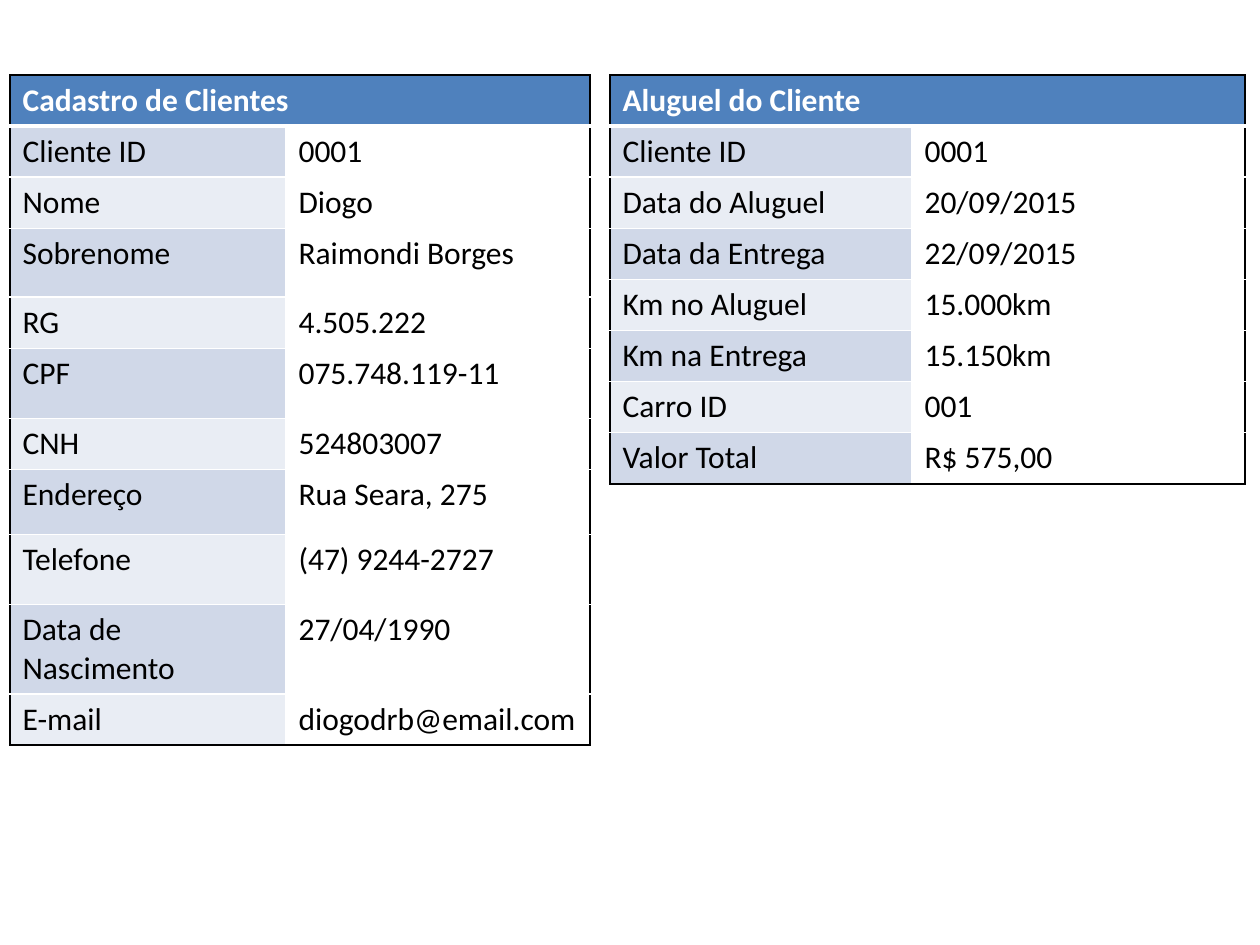
"""Build a slide with a customer record table and a rental table."""
import pptx
import pptx.dml.color
import pptx.oxml
import pptx.oxml.ns
import pptx.util

BLACK = pptx.dml.color.RGBColor(0x00, 0x00, 0x00)
WHITE = pptx.dml.color.RGBColor(0xFF, 0xFF, 0xFF)
HEADER_BLUE = pptx.dml.color.RGBColor(0x4F, 0x81, 0xBD)
BAND_DARK = pptx.dml.color.RGBColor(0xD0, 0xD8, 0xE8)
BAND_LIGHT = pptx.dml.color.RGBColor(0xE9, 0xED, 0xF4)
SCALE = pptx.util.Inches(1) / 126
ROW = 51
TOP = 75


def px(length):
    return pptx.util.Emu(round(length * SCALE))


def style_cell(cell, text, fill, color, bold, borders):
    properties = cell._tc.get_or_add_tcPr()
    for side, (line_color, points) in zip("LRTB", borders):
        properties.append(pptx.oxml.parse_xml(
            f'<a:ln{side} {pptx.oxml.ns.nsdecls("a")} w="{pptx.util.Pt(points)}">'
            f'<a:solidFill><a:srgbClr val="{line_color}"/></a:solidFill></a:ln{side}>'))
    cell.fill.solid()
    cell.fill.fore_color.rgb = fill
    if text:
        span = cell.text_frame.paragraphs[0].add_run()
        span.text = text
        span.font.name = "Calibri"
        span.font.size = pptx.util.Pt(18)
        span.font.bold = bold
        span.font.color.rgb = color


customer_rows = [
    ("Cliente ID", "0001", ROW),
    ("Nome", "Diogo", ROW),
    ("Sobrenome", "Raimondi Borges", 69),
    ("RG", "4.505.222", ROW),
    ("CPF", "075.748.119-11", 70),
    ("CNH", "524803007", ROW),
    ("Endereço", "Rua Seara, 275", 65),
    ("Telefone", "(47) 9244-2727", 70),
    ("Data de Nascimento", "27/04/1990", 89),
    ("E-mail", "diogodrb@email.com", ROW),
]
rental_rows = [
    ("Cliente ID", "0001", ROW),
    ("Data do Aluguel", "20/09/2015", ROW),
    ("Data da Entrega", "22/09/2015", ROW),
    ("Km no Aluguel", "15.000km", ROW),
    ("Km na Entrega", "15.150km", ROW),
    ("Carro ID", "001", ROW),
    ("Valor Total", "R$ 575,00", ROW),
]
tables = [
    ("Cadastro de Clientes", 10, (276, 304), customer_rows),
    ("Aluguel do Cliente", 610, (302, 333), rental_rows),
]

deck = pptx.Presentation()
deck.slide_width = px(1260)
deck.slide_height = px(945)
page = deck.slides.add_slide(deck.slide_layouts[6])

outer, inner, header_rule = (BLACK, 1), (WHITE, 1), (WHITE, 3)
for title, left, widths, records in tables:
    heights = [ROW] + [height for _, _, height in records]
    frame = page.shapes.add_table(len(heights), 2, px(left), px(TOP),
                                  px(sum(widths)), px(sum(heights)))
    table = frame.table
    for column, width in zip(table.columns, widths):
        column.width = px(width)
    for row, height in zip(table.rows, heights):
        row.height = px(height)

    table.cell(0, 0).merge(table.cell(0, 1))
    for index, text in enumerate((title, "")):
        style_cell(table.cell(0, index), text, HEADER_BLUE, WHITE, True,
                   (outer, outer, outer, header_rule))

    for number, (label, value, _) in enumerate(records, 1):
        above = header_rule if number == 1 else inner
        below = outer if number == len(records) else inner
        band = BAND_DARK if number % 2 else BAND_LIGHT
        style_cell(table.cell(number, 0), label, band, BLACK, False,
                   (outer, inner, above, below))
        style_cell(table.cell(number, 1), value, WHITE, BLACK, False,
                   (inner, outer, above, below))

deck.save("out.pptx")
